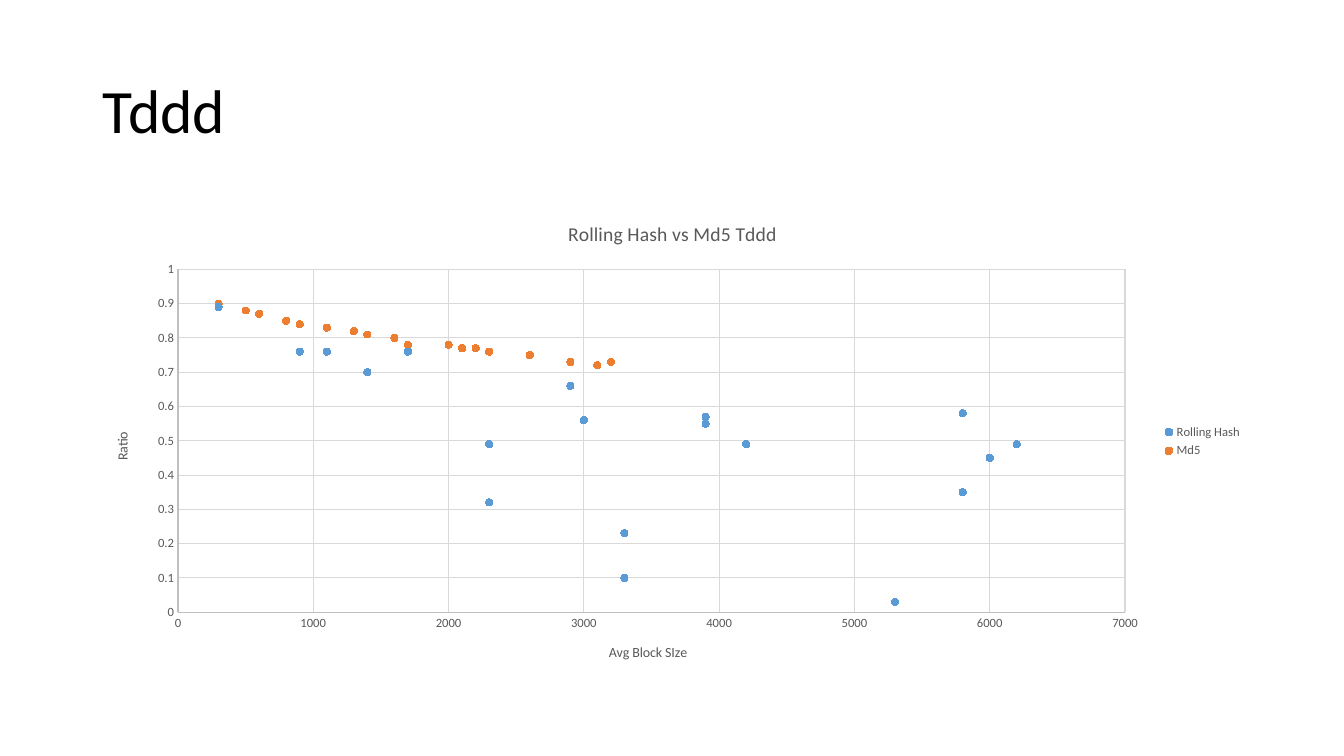
from pptx import Presentation
from pptx import util as u
from pptx.chart import data
from pptx.dml import color
from pptx.enum import chart as ch, text

FONT, GRAY = "Calibri", "595959"
SERIES = {
    "Rolling Hash": ("5B9BD5", [
        (300, 0.89), (900, 0.76), (1100, 0.76), (1400, 0.7), (1700, 0.76),
        (2300, 0.49), (2300, 0.32), (2900, 0.66), (3300, 0.1), (3300, 0.23),
        (3000, 0.56), (3900, 0.57), (5300, 0.03), (4200, 0.49), (3900, 0.55),
        (5800, 0.35), (6000, 0.45), (5800, 0.58), (6200, 0.49)]),
    "Md5": ("ED7D31", [
        (300, 0.9), (500, 0.88), (600, 0.87), (800, 0.85), (900, 0.84),
        (1100, 0.83), (1300, 0.82), (1400, 0.81), (1600, 0.8), (1700, 0.78),
        (2000, 0.78), (2100, 0.77), (2200, 0.77), (2300, 0.76), (2600, 0.75),
        (2600, 0.75), (2900, 0.73), (3100, 0.72), (3200, 0.73)]),
}


def rgb(value):
    """Turn a hex string into a colour."""
    return color.RGBColor.from_string(value)


def apply(target, formats):
    """Set each named attribute on the target."""
    for name, value in formats.items():
        setattr(target, name, value)


def style_font(font, size, value=GRAY):
    """Set face, size, weight and colour of a font."""
    apply(font, {"name": FONT, "size": u.Pt(size), "bold": False})
    font.color.rgb = rgb(value)


def style_line(line, value):
    """Draw a thin line in the given colour."""
    line.color.rgb = rgb(value)
    line.width = u.Pt(0.75)


def write(tf, words, size, value=GRAY):
    """Write one styled run and return its paragraph."""
    p = tf.paragraphs[0]
    r = p.add_run()
    r.text = words
    style_font(r.font, size, value)
    return p


def add_title(s, box, words):
    """Place the slide title in its box."""
    tf = s.shapes.add_textbox(*map(u.Inches, box)).text_frame
    apply(tf, {"word_wrap": True, "vertical_anchor": text.MSO_ANCHOR.MIDDLE})
    write(tf, words, 44, "000000").line_spacing = 0.9


def style_axis(axis, title, top, step):
    """Format one axis with its title, scale and grid."""
    apply(axis, {"minimum_scale": 0, "maximum_scale": top, "major_unit": step,
                 "has_major_gridlines": True,
                 "major_tick_mark": ch.XL_TICK_MARK.NONE,
                 "minor_tick_mark": ch.XL_TICK_MARK.NONE})
    apply(axis.tick_labels, {"number_format": "General",
                             "number_format_is_linked": False})
    style_font(axis.tick_labels.font, 9)
    style_line(axis.format.line, "BFBFBF")
    style_line(axis.major_gridlines.format.line, "D9D9D9")
    write(axis.axis_title.text_frame, title, 10)


def add_scatter(s, box, title):
    """Place the scatter chart of ratio against block size."""
    points = data.XyChartData()
    for name, (_, pairs) in SERIES.items():
        series = points.add_series(name)
        for x, y in pairs:
            series.add_data_point(x, y)
    chart = s.shapes.add_chart(ch.XL_CHART_TYPE.XY_SCATTER,
                               *map(u.Inches, box), points).chart
    style_font(chart.font, 10, "000000")
    write(chart.chart_title.text_frame, title, 14)
    chart.chart_title.include_in_layout = False
    style_axis(chart.category_axis, "Avg Block SIze", 7000, 1000)
    style_axis(chart.value_axis, "Ratio", 1, 0.1)
    ratio_body = chart.value_axis.axis_title.text_frame._txBody.bodyPr
    ratio_body.set("rot", "-5400000")
    ratio_body.set("vert", "horz")

    chart.has_legend = True
    apply(chart.legend, {"position": ch.XL_LEGEND_POSITION.RIGHT,
                         "include_in_layout": False})
    style_font(chart.legend.font, 9)
    plot = chart.plots[0]
    plot.vary_by_categories = False
    for series, (value, _) in zip(plot.series, SERIES.values()):
        series.smooth = False
        series.format.line.fill.background()
        marker = series.marker
        apply(marker, {"style": ch.XL_MARKER_STYLE.CIRCLE, "size": 5})
        marker.format.fill.solid()
        marker.format.fill.fore_color.rgb = rgb(value)
        style_line(marker.format.line, value)


prs = Presentation()
apply(prs, {"slide_width": u.Inches(13.33), "slide_height": u.Inches(7.5)})
s = prs.slides.add_slide(prs.slide_layouts[6])
add_title(s, (0.92, 0.4, 11.5, 1.45), "Tddd")
add_scatter(s, (0.92, 2, 11.5, 4.76), "Rolling Hash vs Md5 Tddd")
prs.save("out.pptx")
